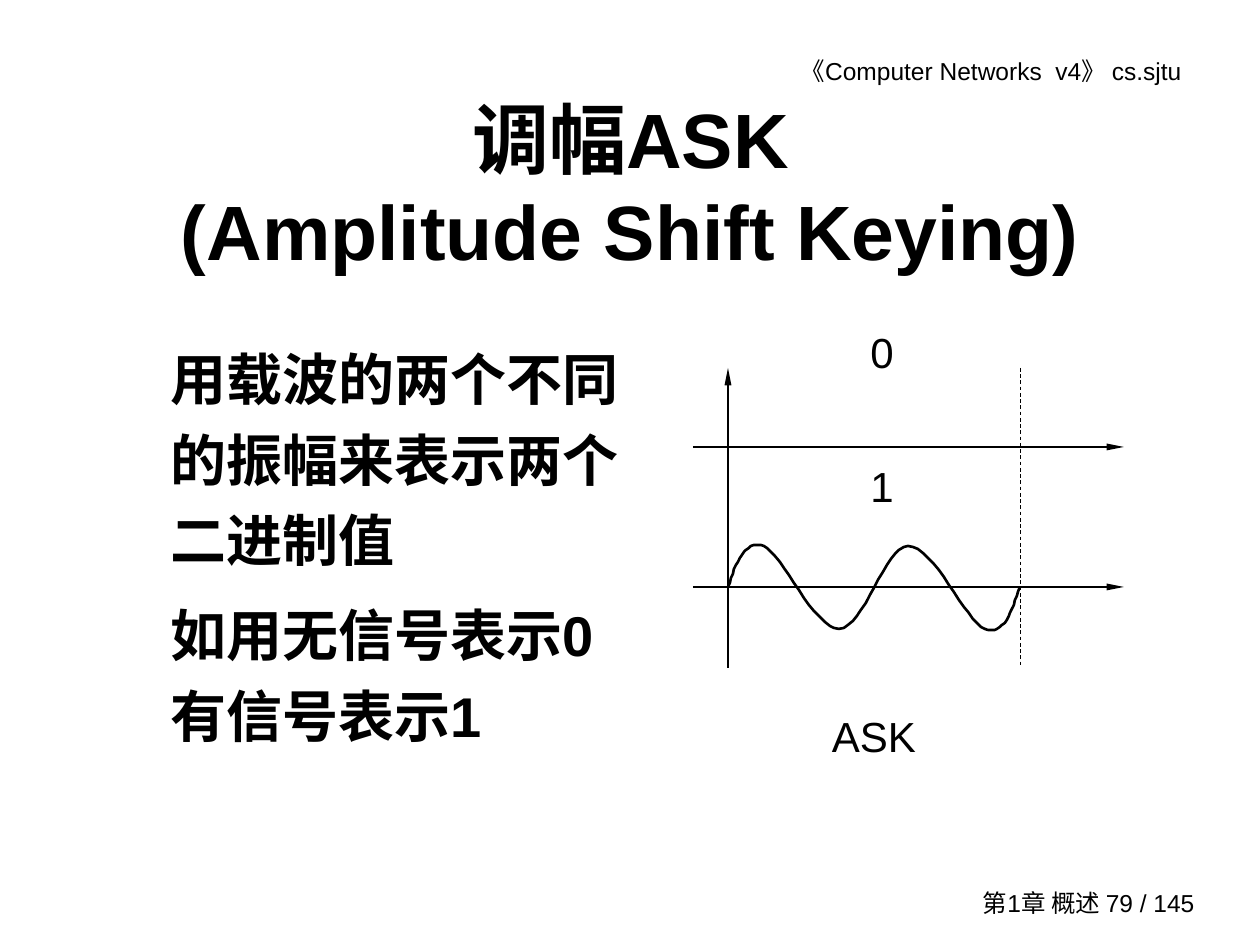
from lxml.etree import SubElement
from pptx import Presentation
from pptx.dml.color import RGBColor
from pptx.enum.dml import MSO_LINE
from pptx.enum.shapes import MSO_CONNECTOR
from pptx.enum.text import MSO_ANCHOR, MSO_AUTO_SIZE, PP_ALIGN
from pptx.oxml.ns import qn
from pptx.util import Pt

PX = 7257
BLACK = "000000"
TITLE_ONLY = 5
CURVE_STEPS = 16
WAVE_START = (728, 587)
WAVE_CURVES = [
    ((736, 563), (745, 539), (764, 546)),
    ((781, 553), (815, 629), (839, 629)),
    ((864, 629), (885, 546), (908, 546)),
    ((934, 546), (966, 622), (985, 629)),
    ((1004, 636), (1012, 611), (1020, 587)),
]


def color(hex_text):
    return RGBColor.from_string(hex_text)


def apply(target, values):
    for name, value in values.items():
        setattr(target, name, value)


def place(shape, box):
    apply(shape, dict(zip(("left", "top", "width", "height"), (v * PX for v in box))))


def write(shape, paragraphs, size, bold=False, anchor=MSO_ANCHOR.TOP, gap=0, **layout):
    frame = shape.text_frame
    apply(frame, {"word_wrap": True, "auto_size": MSO_AUTO_SIZE.NONE, "vertical_anchor": anchor})
    for index, text in enumerate(paragraphs):
        paragraph = frame.paragraphs[0] if index == 0 else frame.add_paragraph()
        paragraph.text = text
        apply(paragraph, layout)
        paragraph.space_before = Pt(gap if index else 0)
        apply(paragraph.font, {"name": "Arial", "size": Pt(size), "bold": bold})
        paragraph.font.color.rgb = color(BLACK)


def add_text(slide, box, paragraphs, size, **options):
    shape = slide.shapes.add_textbox(*(value * PX for value in box))
    write(shape, paragraphs, size, **options)
    return shape


def style_line(line, width):
    line.color.rgb = color(BLACK)
    line.width = Pt(width)


def add_line(slide, start, end, width=0.75, arrow=True):
    points = (value * PX for value in (*start, *end))
    connector = slide.shapes.add_connector(MSO_CONNECTOR.STRAIGHT, *points)
    style_line(connector.line, width)
    if arrow:
        SubElement(connector.line._get_or_add_ln(), qn("a:tailEnd"), type="triangle", w="sm", len="lg")
    else:
        connector.line.dash_style = MSO_LINE.DASH
    SubElement(connector._element.spPr, qn("a:effectLst"))


def curve_points(start, curves):
    for first, second, end in curves:
        for step in range(1, CURVE_STEPS + 1):
            t = step / CURVE_STEPS
            weights = ((1 - t) ** 3, 3 * t * (1 - t) ** 2, 3 * t * t * (1 - t), t ** 3)
            corners = (start, first, second, end)
            yield tuple(sum(w * corner[axis] for w, corner in zip(weights, corners)) for axis in (0, 1))
        start = end


def add_wave(slide):
    builder = slide.shapes.build_freeform(*WAVE_START, scale=PX)
    builder.add_line_segments(curve_points(WAVE_START, WAVE_CURVES), close=False)
    wave = builder.convert_to_shape()
    wave.shadow.inherit = False
    wave.fill.background()
    style_line(wave.line, 1.5)


def main():
    presentation = Presentation()
    apply(presentation, {"slide_width": 1260 * PX, "slide_height": 945 * PX})
    slide = presentation.slides.add_slide(presentation.slide_layouts[TITLE_ONLY])

    title = slide.shapes.title
    place(title, (95, 84, 1071, 199))
    write(title, ["调幅ASK\v(Amplitude Shift Keying)"], 44, bold=True,
          anchor=MSO_ANCHOR.MIDDLE, alignment=PP_ALIGN.CENTER)

    add_text(slide, (661, 50, 533, 43), ["《Computer Networks  v4》 cs.sjtu"], 14,
             alignment=PP_ALIGN.RIGHT)
    add_text(slide, (945, 882, 262, 42), ["第1章 概述 79 / 145"], 14,
             anchor=MSO_ANCHOR.MIDDLE, alignment=PP_ALIGN.RIGHT)
    add_text(slide, (158, 325, 488, 470),
             ["用载波的两个不同的振幅来表示两个二进制值", "如用无信号表示0\v有信号表示1"],
             32, bold=True, gap=8, line_spacing=1.2)

    add_line(slide, (728, 668), (728, 368))
    for axis_y in (447, 587):
        add_line(slide, (693, axis_y), (1124, axis_y))
    add_line(slide, (1020, 368), (1020, 668), width=0.5, arrow=False)
    add_wave(slide)
    add_text(slide, (814, 305, 136, 249), ["0", "1"], 24, gap=39,
             line_spacing=1.3, alignment=PP_ALIGN.CENTER)
    add_text(slide, (762, 704, 224, 66), ["ASK"], 24, alignment=PP_ALIGN.CENTER)

    presentation.save("out.pptx")


if __name__ == "__main__":
    main()
